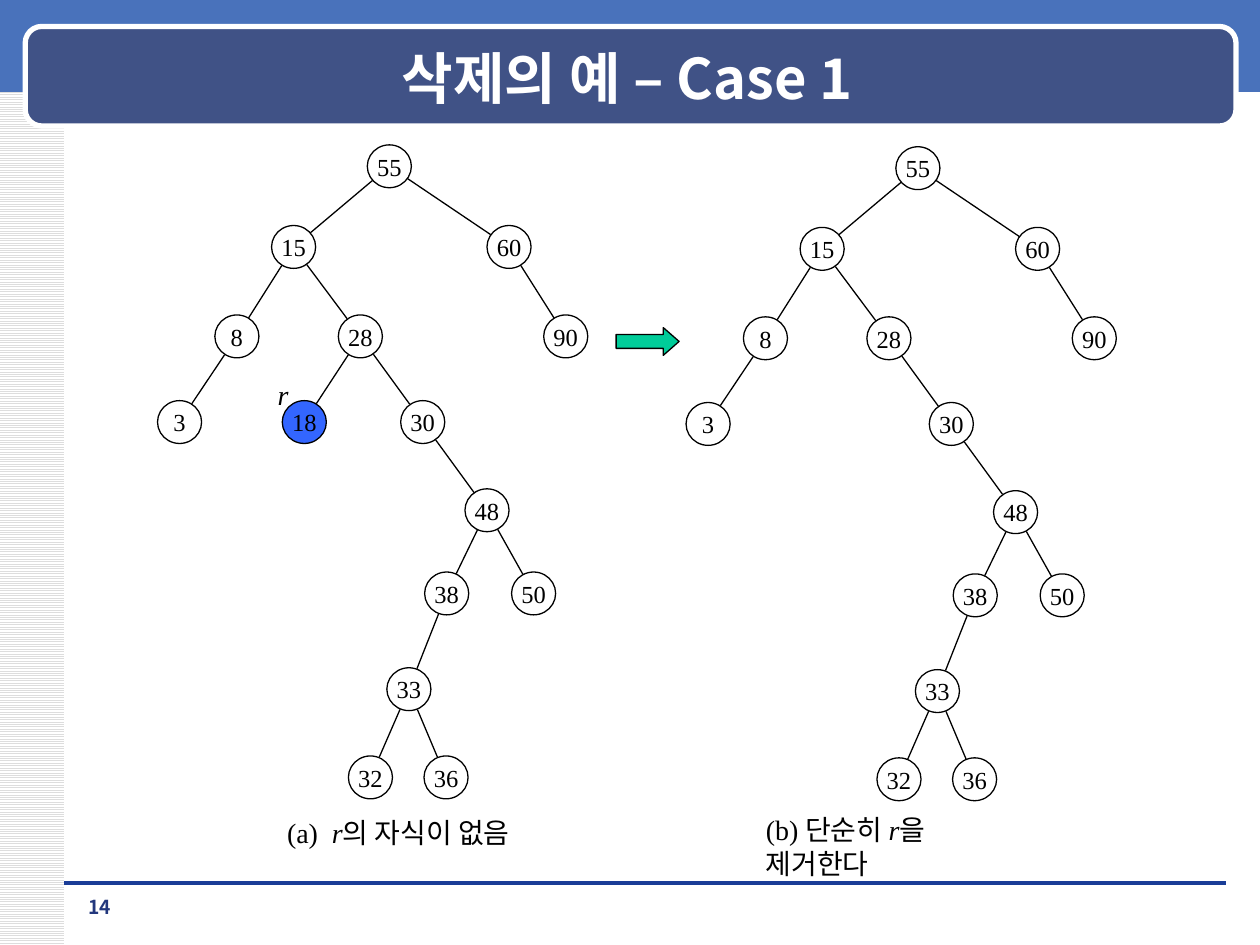
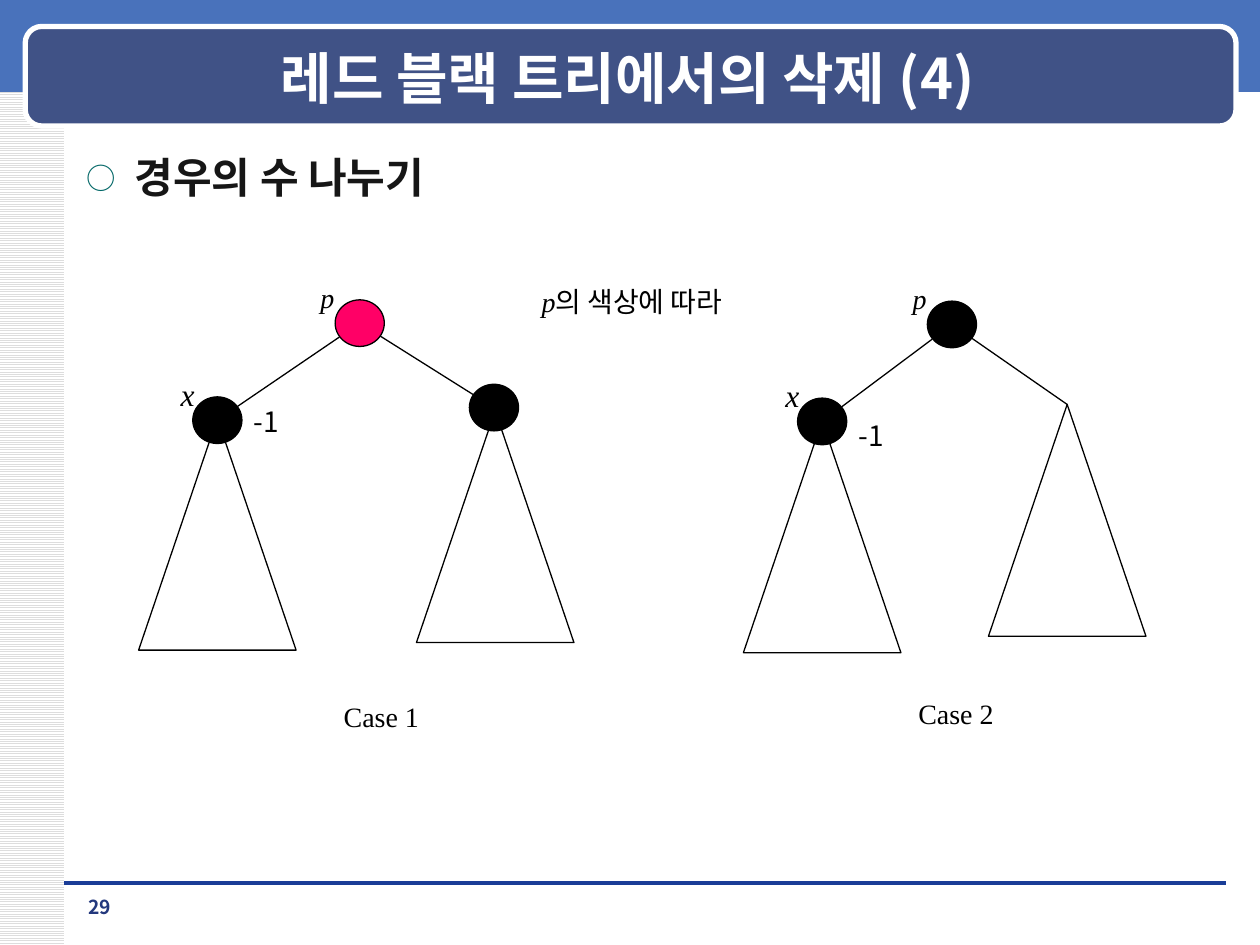
import math

from lxml import etree
from pptx import Presentation
from pptx import util as u
from pptx.dml import color
from pptx.enum import dml, shapes, text
from pptx.oxml import ns

COLUMNS, ROWS = 100, 75
WIDTH, HEIGHT = u.Inches(10), u.Inches(7.5)
SANS, SERIF = "Noto Sans CJK KR", "Times New Roman"
BLACK, WHITE = "000000", "FFFFFF"
BAND, TITLE_BOX, RULE, NUMBER = "4972BB", "405286", "1A3D97", "23387D"
STRIPE, BODY, BULLET = "DDDDDD", "161616", "006666"
REMOVED, ARROW, RED_NODE = "3366FF", "00CC99", "FF0066"
KEY_SIZE = (3.5, 3.4)
NODE_SIZE = (3.9, 3.7)
TRIANGLE_SIZE = (12.5, 18.4)

LEVELS = [1.7, 8.1, 15.2, 22, 29, 35.6, 43.2, 50.2]
TREE = {
    "55": (None, 18.4, 0),
    "15": ("55", 10.8, 1),
    "60": ("55", 27.9, 1),
    "8": ("15", 6.3, 2),
    "28": ("15", 16.1, 2),
    "90": ("60", 32.4, 2),
    "3": ("8", 1.75, 3),
    "18": ("28", 11.65, 3),
    "30": ("28", 21.05, 3),
    "48": ("30", 26.15, 4),
    "38": ("48", 22.95, 5),
    "50": ("48", 29.85, 5),
    "33": ("38", 19.95, 6),
    "32": ("33", 16.9, 7),
    "36": ("33", 22.9, 7),
}


def rgb(value):
    return color.RGBColor.from_string(value)


def grid(*lengths):
    units = (WIDTH / COLUMNS, HEIGHT / ROWS)
    return [round(length * units[index % 2]) for index, length in enumerate(lengths)]


def style(paragraph, size, face, hue=BLACK, bold=False):
    font = paragraph.font
    font.size, font.bold = u.Pt(size), bold
    font.color.rgb = rgb(hue)
    font.name = face
    etree.SubElement(font._element, ns.qn("a:ea"), typeface=SANS)


def add_shape(slide, kind, box, fill=None, line=None, width=0.75):
    shape = slide.shapes.add_shape(kind, *grid(*box))
    shape.shadow.inherit = False
    if fill:
        shape.fill.solid()
        shape.fill.fore_color.rgb = rgb(fill)
    else:
        shape.fill.background()
    if line:
        shape.line.color.rgb = rgb(line)
        shape.line.width = u.Pt(width)
    else:
        shape.line.fill.background()
    return shape


def add_line(slide, start, end, hue=BLACK, width=0.75):
    line = slide.shapes.add_connector(
        shapes.MSO_CONNECTOR.STRAIGHT, *grid(*start, *end))
    line.line.color.rgb = rgb(hue)
    line.line.width = u.Pt(width)
    etree.SubElement(line._element.spPr, ns.qn("a:effectLst"))


def add_edge(slide, start, end, start_gap, end_gap):
    length = math.dist(start, end)

    def along(distance):
        return [a + (b - a) * distance / length for a, b in zip(start, end)]

    add_line(slide, along(start_gap), along(length - end_gap))


def add_circle(slide, center, size, fill, key=""):
    box = (center[0] - size[0] / 2, center[1] - size[1] / 2, *size)
    circle = add_shape(slide, shapes.MSO_SHAPE.OVAL, box, fill, BLACK)
    if key:
        frame = circle.text_frame
        frame.margin_left = frame.margin_right = 0
        frame.margin_top = frame.margin_bottom = 0
        frame.vertical_anchor = text.MSO_ANCHOR.MIDDLE
        frame.word_wrap = False
        paragraph = frame.paragraphs[0]
        paragraph.text = key
        paragraph.alignment = text.PP_ALIGN.CENTER
        style(paragraph, 14, SERIF)


def add_label(slide, box, runs, size=16, face=SERIF, hue=BLACK, bold=False):
    frame = slide.shapes.add_textbox(*grid(*box)).text_frame
    frame.word_wrap = True
    frame.margin_right = 0
    paragraph = frame.paragraphs[0]
    for words, italic in runs:
        run = paragraph.add_run()
        run.text = words
        run.font.italic = italic
    style(paragraph, size, face, hue, bold)
    return paragraph


def add_frame(presentation, heading, number):
    slide = presentation.slides.add_slide(presentation.slide_layouts[5])
    stripes = add_shape(slide, shapes.MSO_SHAPE.RECTANGLE, (0, 0, 5.1, ROWS), STRIPE)
    stripes.fill.patterned()
    stripes.fill.pattern = dml.MSO_PATTERN.LIGHT_HORIZONTAL
    stripes.fill.fore_color.rgb = rgb(STRIPE)
    stripes.fill.back_color.rgb = rgb(WHITE)
    add_shape(slide, shapes.MSO_SHAPE.RECTANGLE, (0, 0, COLUMNS, 7.3), BAND)
    add_line(slide, (5.1, 70.1), (97.3, 70.1), RULE, 0)
    add_shape(slide, shapes.MSO_SHAPE.ROUNDED_RECTANGLE, (2, 2.1, 96.1, 7.9),
              TITLE_BOX, WHITE, 3)

    title = slide.shapes.title
    title._element.getparent().append(title._element)
    title.left, title.top, title.width, title.height = grid(7.1, 3, 85.4, 6.2)
    title.text_frame.vertical_anchor = text.MSO_ANCHOR.MIDDLE
    paragraph = title.text_frame.paragraphs[0]
    paragraph.text = heading
    paragraph.alignment = text.PP_ALIGN.CENTER
    style(paragraph, 32, SANS, WHITE, True)

    page = add_label(slide, (5.1, 70.6, 4.7, 2.7), [(number, False)],
                     11, SANS, NUMBER, True)
    page.alignment = text.PP_ALIGN.CENTER
    return slide


def add_search_tree(slide, left, top, keys, marked=None):
    centers = {key: (left + TREE[key][1], top + LEVELS[TREE[key][2]]) for key in keys}
    for key, center in centers.items():
        parent = TREE[key][0]
        if parent:
            add_edge(slide, centers[parent], center, KEY_SIZE[0] / 2, KEY_SIZE[0] / 2)
        add_circle(slide, center, KEY_SIZE, REMOVED if key == marked else WHITE, key)
    if marked:
        column, row = centers[marked]
        add_label(slide, (column - 3.1, row - 4, 3, 3.7), [("r", True)])


def add_subtree(slide, apex):
    box = (apex[0] - TRIANGLE_SIZE[0] / 2, apex[1], *TRIANGLE_SIZE)
    add_shape(slide, shapes.MSO_SHAPE.ISOSCELES_TRIANGLE, box, None, BLACK)


def add_case(slide, left, top, parent, child, sibling, apexes, parent_fill,
             sibling_fill, weight_row, caption, caption_at):
    def shift(point):
        return left + point[0], top + point[1]

    parent, child, sibling = map(shift, (parent, child, sibling))
    radius = NODE_SIZE[0] / 2
    for apex in apexes:
        add_subtree(slide, shift(apex))
    add_edge(slide, parent, child, radius, radius)
    add_edge(slide, parent, sibling, radius, radius if sibling_fill else 0)
    add_circle(slide, parent, NODE_SIZE, parent_fill)
    add_circle(slide, child, NODE_SIZE, BLACK)
    if sibling_fill:
        add_circle(slide, sibling, NODE_SIZE, sibling_fill)
    add_label(slide, (parent[0] - 4.1, parent[1] - 3.9, 3.4, 3.7), [("p", True)])
    add_label(slide, (child[0] - 3.9, child[1] - 4.1, 3.1, 4), [("x", True)], 18)
    add_label(slide, (child[0] + 1.9, child[1] + weight_row, 4.7, 3.7),
              [("-1", False)], face=SANS)
    add_label(slide, (*shift(caption_at), 8, 3.7), [(caption, False)])


def add_bullet(slide, box, words):
    paragraph = slide.shapes.add_textbox(*grid(*box)).text_frame.paragraphs[0]
    paragraph.text = words
    properties = paragraph._element.get_or_add_pPr()
    properties.set("marL", str(u.Inches(0.38)))
    properties.set("indent", str(-u.Inches(0.38)))
    bullet_color = etree.SubElement(properties, ns.qn("a:buClr"))
    etree.SubElement(bullet_color, ns.qn("a:srgbClr"), val=BULLET)
    etree.SubElement(properties, ns.qn("a:buSzPct"), val="70000")
    etree.SubElement(properties, ns.qn("a:buFont"), typeface=SANS)
    etree.SubElement(properties, ns.qn("a:buChar"), char="○")
    style(paragraph, 24, SANS, BODY, True)


def build_leaf_deletion(presentation):
    slide = add_frame(presentation, "삭제의 예 – Case 1", "14")
    add_search_tree(slide, 12.5, 11.5, TREE, "18")
    add_search_tree(slide, 54.45, 11.65, [key for key in TREE if key != "18"])
    add_label(slide, (21.8, 64.2, 22, 3.7),
              [("(a)  ", False), ("r", True), ("의 자식이 없음", False)])
    add_label(slide, (59.8, 64, 18, 6),
              [("(b) 단순히 ", False), ("r", True), ("을 제거한다", False)])
    arrow = add_shape(slide, shapes.MSO_SHAPE.RIGHT_ARROW, (48.9, 26, 5, 2.2),
                      ARROW, BLACK, 0)
    arrow.adjustments[1] = 0.57


def build_case_split(presentation):
    slide = add_frame(presentation, "레드 블랙 트리에서의 삭제 (4)", "29")
    add_bullet(slide, (5.9, 11.5, 89, 57.5), "경우의 수 나누기")
    add_case(slide, 11, 23.8, (17.55, 1.85), (6.25, 9.55), (28.2, 8.55),
             [(6.25, 9.4), (28.3, 8.8)], RED_NODE, BLACK, -1.75,
             "Case 1", (15.3, 31.2))
    add_case(slide, 59, 23.9, (16.55, 1.85), (6.25, 9.55), (25.7, 8.2),
             [(6.25, 9.5), (25.7, 8.2)], BLACK, None, -0.75,
             "Case 2", (12.9, 30.9))
    add_label(slide, (42, 22.1, 19.6, 3.7), [("p", True), ("의 색상에 따라", False)])


def main():
    presentation = Presentation()
    presentation.slide_width, presentation.slide_height = WIDTH, HEIGHT
    build_leaf_deletion(presentation)
    build_case_split(presentation)
    presentation.save("out.pptx")


if __name__ == "__main__":
    main()
